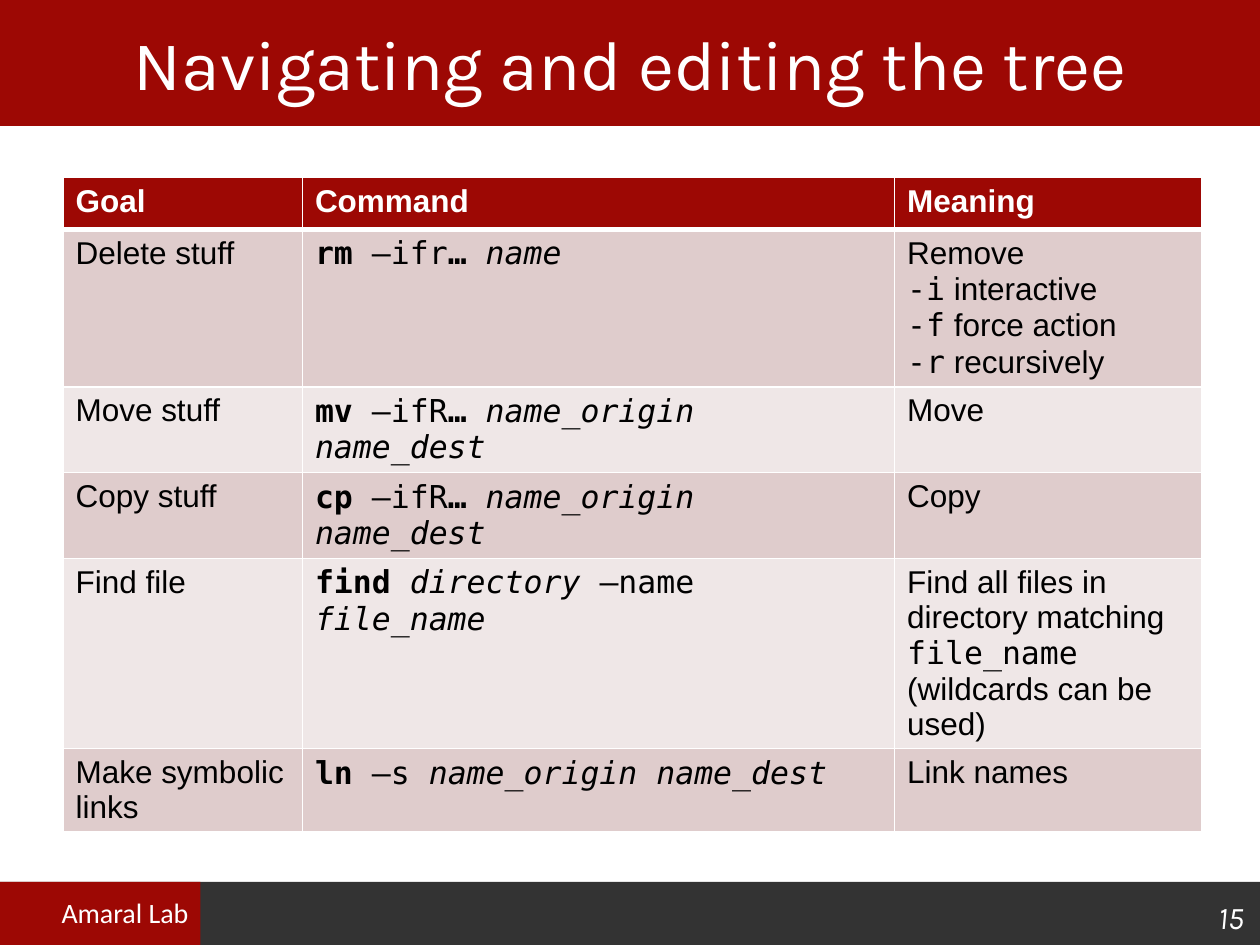
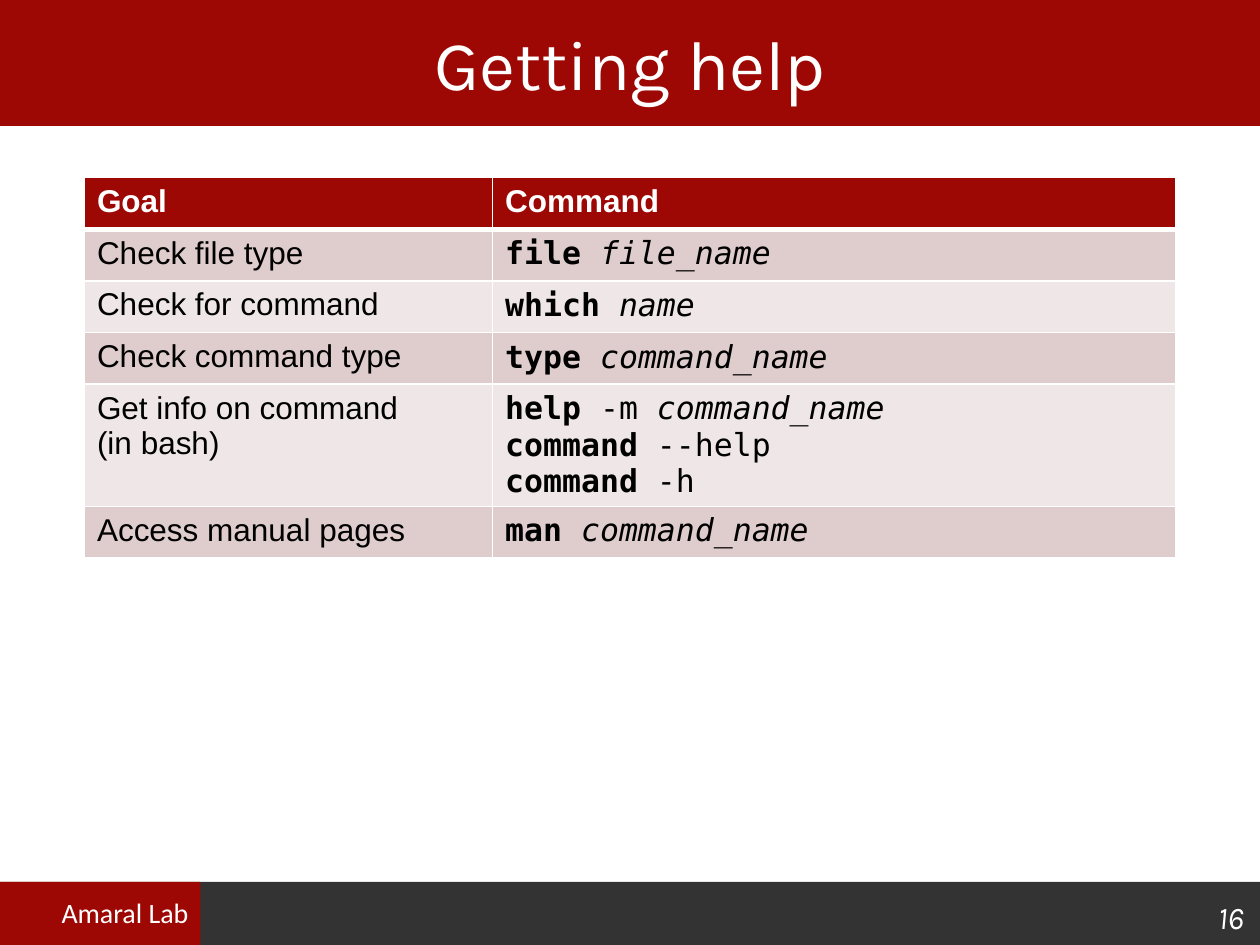
from lxml.etree import SubElement
from pptx import Presentation
from pptx.dml.color import RGBColor
from pptx.enum.shapes import MSO_SHAPE
from pptx.enum.text import MSO_ANCHOR, MSO_AUTO_SIZE, PP_ALIGN
from pptx.oxml.ns import qn
from pptx.util import Inches, Pt

# Shared colours and fonts
RED, DARK, WHITE, BLACK = "9D0804", "333333", "FFFFFF", "000000"
ROW_FILLS = ["DFCCCC", "EFE7E7"]
BODY, MONO, TITLE, LAB = "Arial", "DejaVu Sans Mono", "Karla", "Calibri"

BANDS = [(0, 7, 10, 0.5, DARK), (0, 0, 10, 1, RED), (0, 7, 1.59, 0.5, RED)]

# A cell is a string or a list of paragraphs; a paragraph is a list of
# (text, style) runs, where m = monospaced, b = bold, i = italic
slides = [
    ("Navigating and editing the tree", 15, 0.5, [1.9, 4.7, 2.44], [
        ["Goal", "Command", "Meaning"],
        ["Delete stuff",
         [[("rm", "mb"), (" –ifr", "m"), ("… ", "mb"), ("name", "mi")]],
         [[("Remove", "")],
          [("-i", "m"), (" interactive", "")],
          [("-f", "m"), (" force action", "")],
          [("-r", "m"), (" recursively", "")]]],
        ["Move stuff",
         [[("mv", "mb"), (" –ifR", "m"), ("… ", "mb"), ("name_origin name_dest", "mi")]],
         "Move"],
        ["Copy stuff",
         [[("cp", "mb"), (" –ifR", "m"), ("… ", "mb"), ("name_origin name_dest", "mi")]],
         "Copy"],
        ["Find file",
         [[("find ", "mb"), ("directory", "mi"), (" –name ", "m"), ("file_name", "mi")]],
         [[("Find all files in directory matching ", ""), ("file_name", "m"),
           (" (wildcards can be used)", "")]]],
        ["Make symbolic links",
         [[("ln ", "mb"), ("–s ", "m"), ("name_origin name_dest", "mi")]],
         "Link names"],
    ]),
    ("Getting help", 16, 0.67, [3.24, 5.42], [
        ["Goal", "Command"],
        ["Check file type", [[("file ", "mb"), ("file_name", "mi")]]],
        ["Check for command", [[("which ", "mb"), ("name", "mi")]]],
        ["Check command type", [[("type ", "mb"), ("command_name", "mi")]]],
        [[[("Get info on command", "")], [("(in bash)", "")]],
         [[("help", "mb"), (" -m ", "m"), ("command_name", "mi")],
          [("command", "mb"), (" --help", "m")],
          [("command", "mb"), (" -h", "m")]]],
        ["Access manual pages", [[("man ", "mb"), ("command_name", "mi")]]],
    ]),
]


def rgb(color):
    return RGBColor.from_string(color)


def style(r, font, size, color, bold=False, italic=False):
    r.font.name, r.font.size = font, Pt(size)
    r.font.bold, r.font.italic = bold, italic
    r.font.color.rgb = rgb(color)


prs = Presentation()
prs.slide_width, prs.slide_height = Inches(10), Inches(7.5)

for title, number, left, widths, rows in slides:
    s = prs.slides.add_slide(prs.slide_layouts[5])

    # Header and footer bands
    for x, y, w, h, color in BANDS:
        sp = s.shapes.add_shape(MSO_SHAPE.RECTANGLE, Inches(x), Inches(y), Inches(w), Inches(h))
        sp.shadow.inherit = False
        sp.fill.solid()
        sp.fill.fore_color.rgb = rgb(color)
        sp.line.fill.background()

    # Lab name and slide number
    for x, y, w, h, text, font, size, wrap in [
            (0.39, 7.06, 1.21, 0.37, "Amaral Lab", LAB, 16, False),
            (9.05, 7.08, 0.92, 0.4, str(number), TITLE, 18, True)]:
        tf = s.shapes.add_textbox(Inches(x), Inches(y), Inches(w), Inches(h)).text_frame
        tf.word_wrap = wrap
        tf.text = text
        p = tf.paragraphs[0]
        style(p.runs[0], font, size, WHITE, italic=wrap)
        if wrap:
            tf.vertical_anchor = MSO_ANCHOR.BOTTOM
            p.alignment = PP_ALIGN.RIGHT

    # Title, brought in front of its band
    sp = s.shapes.title
    s.shapes._spTree.append(sp._element)
    sp.left, sp.top, sp.width, sp.height = 0, 0, Inches(10), Inches(1)
    tf = sp.text_frame
    tf.text = title
    tf.auto_size = MSO_AUTO_SIZE.NONE
    tf.vertical_anchor = MSO_ANCHOR.MIDDLE
    p = tf.paragraphs[0]
    p.alignment = PP_ALIGN.CENTER
    style(p.runs[0], TITLE, 40, WHITE)

    # Command table
    table = s.shapes.add_table(len(rows), len(widths), Inches(left), Inches(1.41),
                               Inches(sum(widths)), Inches(0.41 * len(rows))).table
    for column, width in zip(table.columns, widths):
        column.width = Inches(width)
    for i, row in enumerate(rows):
        header = i == 0
        for j, content in enumerate(row):
            cell = table.cell(i, j)

            # Borders, with a thick rule under the header
            tcPr = cell._tc.get_or_add_tcPr()
            for side in "LRTB":
                thick = (header and side == "B") or (i == 1 and side == "T")
                ln = SubElement(tcPr, qn(f"a:ln{side}"), w=str(Pt(3 if thick else 1)))
                SubElement(SubElement(ln, qn("a:solidFill")), qn("a:srgbClr"), val=WHITE)
            cell.fill.solid()
            cell.fill.fore_color.rgb = rgb(RED if header else ROW_FILLS[(i - 1) % 2])

            # Text
            if isinstance(content, str):
                content = [[(content, "b" if header else "")]]
            tf = cell.text_frame
            for k, runs in enumerate(content):
                p = tf.add_paragraph() if k else tf.paragraphs[0]
                for text, marks in runs:
                    r = p.add_run()
                    r.text = text
                    style(r, MONO if "m" in marks else BODY, 18,
                          WHITE if header else BLACK, "b" in marks, "i" in marks)

prs.save("out.pptx")
